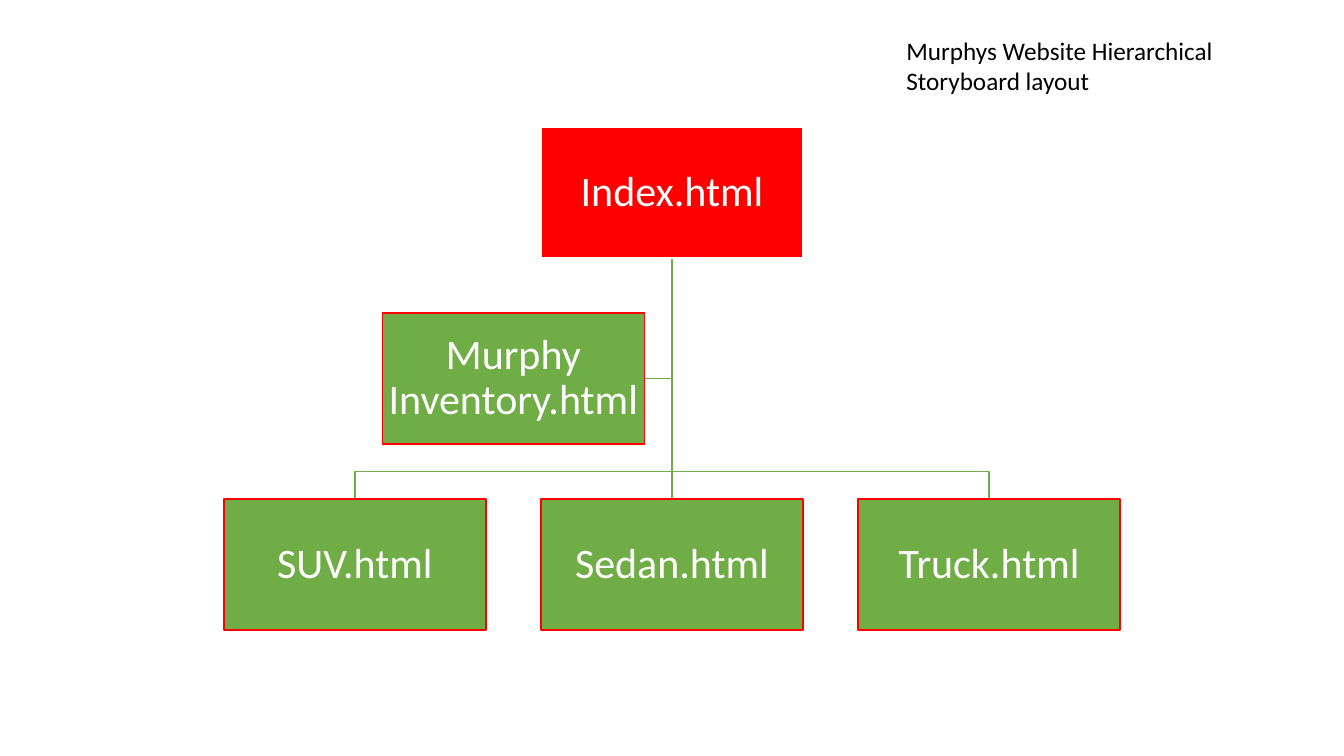
from pptx import Presentation
from pptx.dml.color import RGBColor
from pptx.enum.shapes import MSO_SHAPE
from pptx.enum.text import MSO_ANCHOR, MSO_AUTO_SIZE, PP_ALIGN
from pptx.util import Inches, Pt

FONT = "Calibri"
RED, GREEN, WHITE, BLACK = "FF0000", "70AD47", "FFFFFF", "000000"
COLUMN_STEP, ROW_STEP = 1.21, 1.42
COLUMNS, ROWS = 3, 3
ROOT = ("Index.html", 1, 0)
ASSISTANT = ("Murphy Inventory.html", 0.5, 1)
CHILDREN = [("SUV.html", 0, 2), ("Sedan.html", 1, 2), ("Truck.html", 2, 2)]


def color(value):
    """Turn a hex string into a colour."""
    return RGBColor.from_string(value)


def add_span(para, text, size, ink):
    """Append one formatted run to a paragraph."""
    span = para.add_run()
    span.text = text
    span.font.name = FONT
    span.font.size = Pt(size)
    span.font.color.rgb = color(ink)


def place_title(page, box, text):
    """Fit the title placeholder into the box and write its text."""
    title = page.shapes.title
    title.left, title.top, title.width, title.height = map(Inches, box)
    frame = title.text_frame
    frame.word_wrap = True
    frame.auto_size = MSO_AUTO_SIZE.SHAPE_TO_FIT_TEXT
    frame.vertical_anchor = MSO_ANCHOR.TOP
    para = frame.paragraphs[0]
    para.alignment = PP_ALIGN.LEFT
    add_span(para, text, 18, BLACK)


def add_node(page, box, text, fill, outline):
    """Draw one page of the site as a labelled rectangle."""
    node = page.shapes.add_shape(MSO_SHAPE.RECTANGLE, *map(Inches, box))
    node.shadow.inherit = False
    node.fill.solid()
    node.fill.fore_color.rgb = color(fill)
    node.line.color.rgb = color(outline)
    node.line.width = Pt(1)
    frame = node.text_frame
    frame.word_wrap = True
    frame.vertical_anchor = MSO_ANCHOR.MIDDLE
    frame.margin_left = frame.margin_right = Inches(0.02)
    frame.margin_top = frame.margin_bottom = Inches(0.02)
    para = frame.paragraphs[0]
    para.alignment = PP_ALIGN.CENTER
    para.line_spacing = 0.9
    add_span(para, text, 30, WHITE)


def add_branch(page, points):
    """Draw an open angled line through the points."""
    start, *rest = [(Inches(x), Inches(y)) for x, y in points]
    builder = page.shapes.build_freeform(*start)
    builder.add_line_segments(rest, close=False)
    branch = builder.convert_to_shape()
    branch.shadow.inherit = False
    branch.fill.background()
    branch.line.color.rgb = color(GREEN)
    branch.line.width = Pt(1)


def place_hierarchy(page, box):
    """Lay out the site tree on a grid of columns and rows in the box."""
    left, top, width, height = box
    node_width = width / (1 + (COLUMNS - 1) * COLUMN_STEP)
    node_height = height / (1 + (ROWS - 1) * ROW_STEP)

    def cell(column, row):
        """Give the box of one grid position."""
        return (left + column * COLUMN_STEP * node_width,
                top + row * ROW_STEP * node_height, node_width, node_height)

    root_left, root_top, _, _ = cell(*ROOT[1:])
    trunk, root_bottom = root_left + node_width / 2, root_top + node_height
    side_left, side_top, _, _ = cell(*ASSISTANT[1:])
    side_middle = side_top + node_height / 2
    add_branch(page, [(trunk, root_bottom), (trunk, side_middle),
                      (side_left + node_width, side_middle)])
    for _, column, row in CHILDREN:
        child_left, child_top, _, _ = cell(column, row)
        center = child_left + node_width / 2
        bus = child_top - (ROW_STEP - 1) * node_height / 2
        points = [(trunk, root_bottom), (trunk, bus), (center, bus), (center, child_top)]
        add_branch(page, list(dict.fromkeys(points)))

    add_node(page, cell(*ROOT[1:]), ROOT[0], RED, WHITE)
    for text, column, row in [*CHILDREN, ASSISTANT]:
        add_node(page, cell(column, row), text, GREEN, RED)


def build_deck():
    """Build the one-slide storyboard deck."""
    deck = Presentation()
    deck.slide_width, deck.slide_height = Inches(13.33), Inches(7.5)
    page = deck.slides.add_slide(deck.slide_layouts[5])
    place_hierarchy(page, (2.22, 1.26, 8.89, 4.99))
    place_title(page, (8.89, 0.3, 3.69, 0.71),
                "Murphys Website Hierarchical Storyboard layout")
    return deck


build_deck().save("out.pptx")
